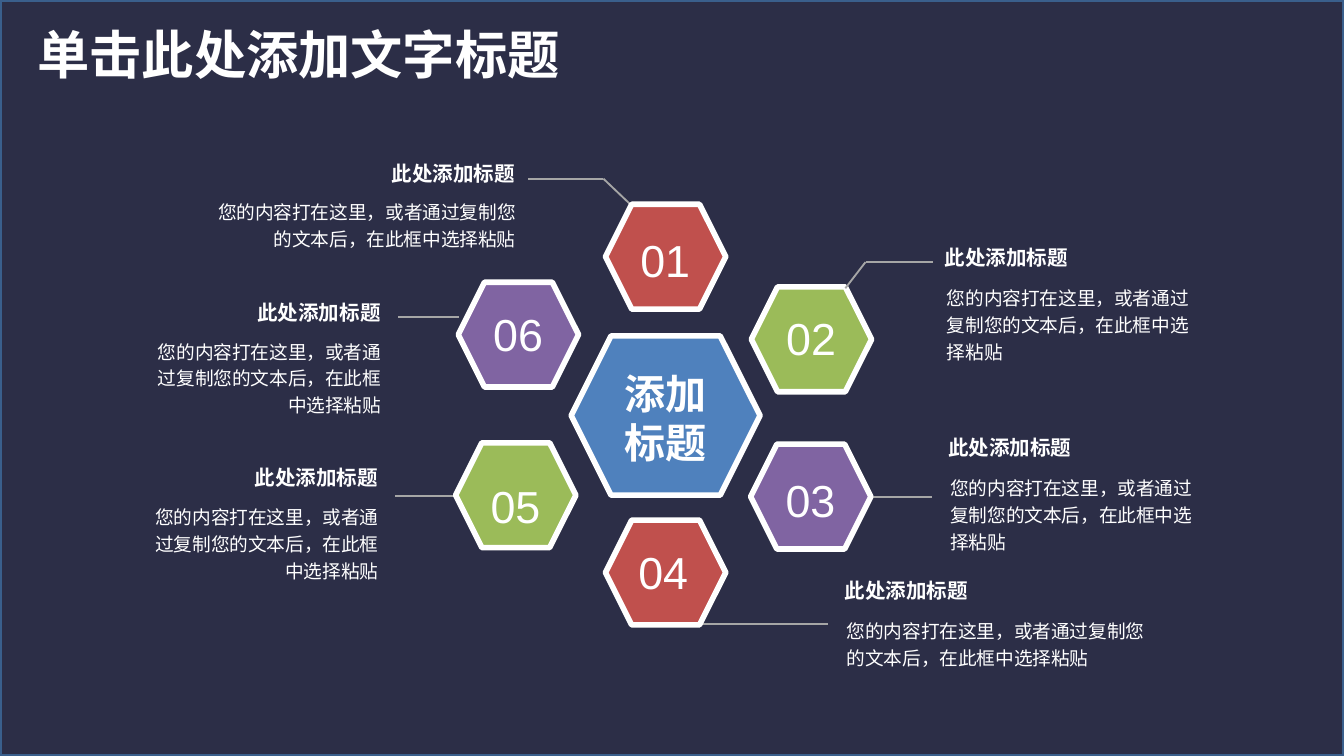
from dataclasses import dataclass
from itertools import pairwise

from lxml import etree
from pptx import Presentation
from pptx import util as u
from pptx.dml.color import RGBColor
from pptx.enum import shapes, text
from pptx.oxml.ns import qn

PX = 4572  # EMU per px, 200 px to the inch
WIDTH, HEIGHT = 2000, 1125
COLORS = {
    "navy": "2C2E47", "frame": "3A5F8C", "white": "FFFFFF", "leader": "A6A6A6",
    "red": "C0504D", "green": "9BBB59", "purple": "8064A2", "blue": "4F81BD",
}
LATIN, CJK = "Arial", "Noto Sans CJK SC"
HEADING = "此处添加标题"
BODY = "您的内容打在这里，或者通过复制您的文本后，在此框中选择粘贴"
LEFT, CENTER, RIGHT = text.PP_ALIGN.LEFT, text.PP_ALIGN.CENTER, text.PP_ALIGN.RIGHT


@dataclass(frozen=True)
class Box:
    x: int
    y: int
    w: int
    h: int

    def emu(self) -> list[int]:
        return [v * PX for v in (self.x, self.y, self.w, self.h)]


@dataclass(frozen=True)
class Style:
    size: int
    font: str = CJK
    bold: bool = False
    align: int = LEFT
    spacing: float | None = None
    wrap: bool = True
    insets: tuple[int, int] = (20, 10)


@dataclass(frozen=True)
class Hexagon:
    box: Box
    color: str
    label: str
    label_box: Box
    style: Style


@dataclass(frozen=True)
class Leader:
    points: list[tuple[int, int]]
    in_front: bool = False


@dataclass(frozen=True)
class Callout:
    x: int  # heading box
    y: int
    w: int  # body box
    h: int
    on_left: bool


TITLE = Style(28, bold=True, wrap=False)
NUMBER = Style(24, LATIN, align=CENTER)
TALL_NUMBER = Style(24, LATIN, align=CENTER, spacing=1.2)
CENTER_TITLE = Style(22, bold=True, align=CENTER)
CALLOUT_HEADING = Style(11, bold=True, align=RIGHT, wrap=False, insets=(14, 7))


def small_hexagon(x: int, y: int, color: str, label: str, label_box: Box, style: Style) -> Hexagon:
    return Hexagon(Box(x, y, 179, 156), color, label, label_box, style)


HEXAGONS = [
    small_hexagon(1118, 427, "green", "02", Box(1146, 453, 122, 101), NUMBER),
    small_hexagon(901, 304, "red", "01", Box(924, 320, 132, 118), TALL_NUMBER),
    small_hexagon(1117, 661, "purple", "03", Box(1137, 678, 138, 118), TALL_NUMBER),
    small_hexagon(678, 659, "green", "05", Box(706, 686, 122, 118), TALL_NUMBER),
    small_hexagon(682, 420, "purple", "06", Box(710, 447, 122, 101), NUMBER),
    Hexagon(Box(850, 500, 281, 237), "blue", "添加标题", Box(904, 538, 172, 168), CENTER_TITLE),
    small_hexagon(901, 774, "red", "04", Box(926, 800, 122, 101), NUMBER),
]
LEADERS = [
    Leader([(1387, 740), (1297, 740)]),
    Leader([(1042, 929), (1232, 929)]),
    Leader([(678, 738), (588, 738)]),
    Leader([(683, 472), (592, 472)]),
    Leader([(940, 306), (898, 266), (786, 266)]),
    Leader([(1258, 429), (1288, 390), (1388, 390)], in_front=True),
]
CALLOUTS = [
    Callout(569, 232, 488, 94, on_left=True),
    Callout(369, 439, 374, 134, on_left=True),
    Callout(365, 685, 374, 134, on_left=True),
    Callout(1392, 357, 398, 134, on_left=False),
    Callout(1397, 640, 398, 134, on_left=False),
    Callout(1243, 853, 480, 94, on_left=False),
]


def rgb(name: str) -> RGBColor:
    return RGBColor.from_string(COLORS[name])


def write(sp, words: str, style: Style) -> None:
    tf = sp.text_frame
    tf.text = words
    tf.word_wrap = style.wrap
    tf.auto_size = text.MSO_AUTO_SIZE.SHAPE_TO_FIT_TEXT
    tf.vertical_anchor = text.MSO_ANCHOR.TOP
    tf.margin_left = tf.margin_right = style.insets[0] * PX
    tf.margin_top = tf.margin_bottom = style.insets[1] * PX
    p = tf.paragraphs[0]
    p.alignment = style.align
    p.line_spacing = style.spacing
    font = p.runs[0].font
    font.name, font.size, font.bold = style.font, u.Pt(style.size), style.bold
    font.color.rgb = rgb("white")
    # East Asian typeface
    latin = font._element.find(qn("a:latin"))
    ea = etree.Element(qn("a:ea"), typeface=style.font)
    latin.addnext(ea)


def add_text(parent, box: Box, words: str, style: Style) -> None:
    write(parent.add_textbox(*box.emu()), words, style)


def add_panel(parent, kind: int, box: Box, fill: str, line: str, width: int):
    sp = parent.add_shape(kind, *box.emu())
    sp.shadow.inherit = False
    sp.fill.solid()
    sp.fill.fore_color.rgb = rgb(fill)
    sp.line.color.rgb = rgb(line)
    sp.line.width = u.Pt(width)
    return sp


def add_hexagon(parent, item: Hexagon) -> None:
    group = parent.add_group_shape().shapes
    add_panel(group, shapes.MSO_SHAPE.HEXAGON, item.box, item.color, "white", 3)
    add_text(group, item.label_box, item.label, item.style)


def add_leader(parent, leader: Leader) -> None:
    for start, end in pairwise(leader.points):
        line = parent.add_connector(
            shapes.MSO_CONNECTOR.STRAIGHT, *[v * PX for v in start + end])
        line.line.color.rgb = rgb("leader")
        line.line.width = u.Pt(1)
        etree.SubElement(line._element.spPr, qn("a:effectLst"))


def add_callout(parent, c: Callout) -> None:
    heading = Box(c.x, c.y, 212, 50)
    if c.on_left:  # right edges line up
        body = Box(c.x + heading.w - c.w, c.y + 54, c.w, c.h)
    else:
        body = Box(c.x + 3, c.y + 56, c.w, c.h)
    align = RIGHT if c.on_left else LEFT
    add_text(parent, heading, HEADING, CALLOUT_HEADING)
    add_text(parent, body, BODY, Style(10, align=align, spacing=1.2, insets=(14, 7)))


def main() -> None:
    prs = Presentation()
    prs.slide_width, prs.slide_height = WIDTH * PX, HEIGHT * PX
    s = prs.slides.add_slide(prs.slide_layouts[5])

    # Background and frame, behind the title
    s.background.fill.solid()
    s.background.fill.fore_color.rgb = rgb("navy")
    frame = add_panel(s.shapes, shapes.MSO_SHAPE.RECTANGLE,
                      Box(0, 0, WIDTH, HEIGHT), "navy", "frame", 2)
    title = s.shapes.title
    title._element.addprevious(frame._element)

    # Title
    title.left, title.top, title.width, title.height = Box(36, 23, 826, 114).emu()
    write(title, "单击此处添加文字标题", TITLE)

    # Ring of hexagons with leaders and callouts
    for leader in LEADERS:
        if not leader.in_front:
            add_leader(s.shapes, leader)
    for item in HEXAGONS:
        add_hexagon(s.shapes, item)
    for leader in LEADERS:
        if leader.in_front:
            add_leader(s.shapes, leader)
    for callout in CALLOUTS:
        add_callout(s.shapes, callout)

    prs.save("out.pptx")


if __name__ == "__main__":
    main()
